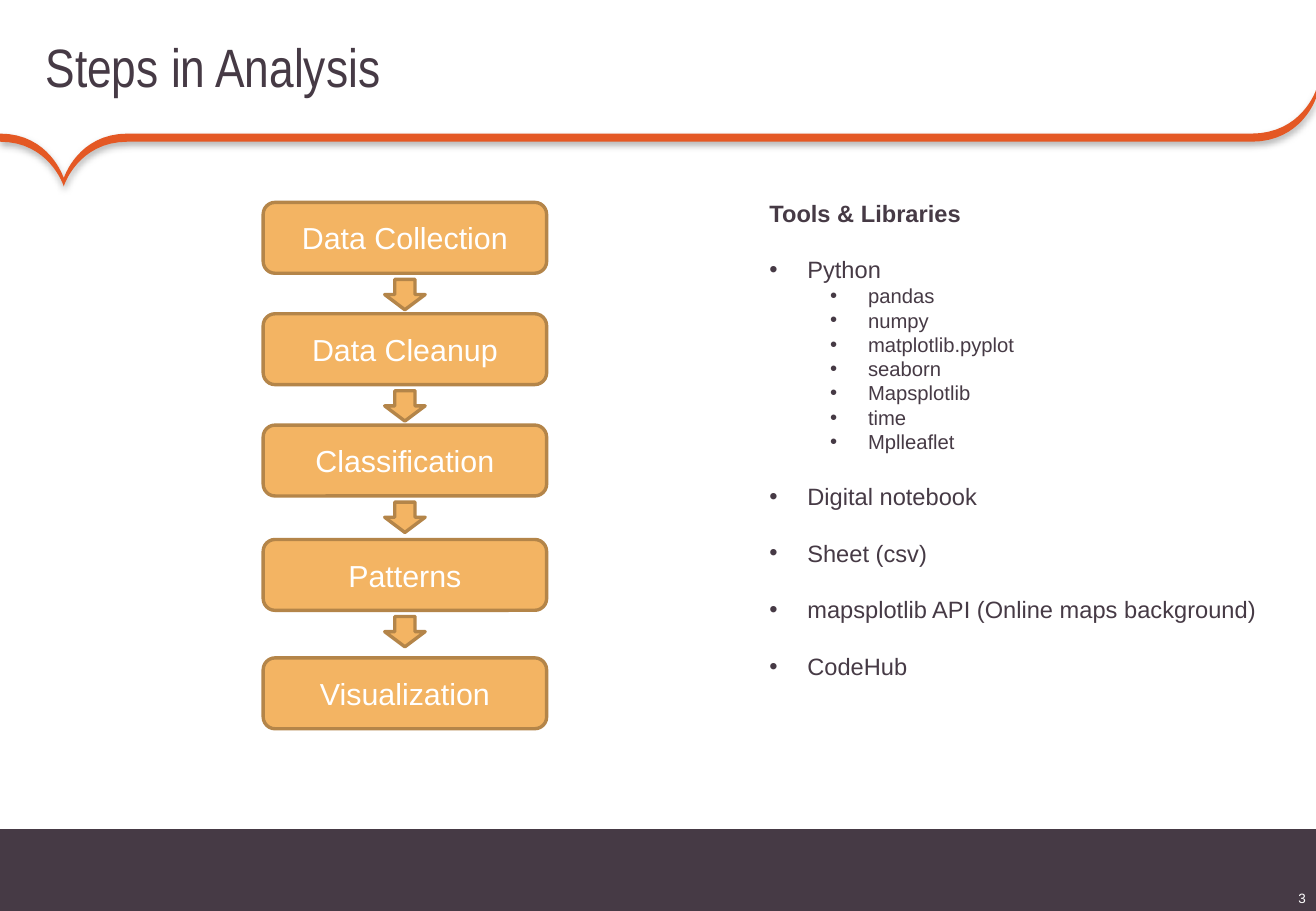
import collections
import dataclasses

import lxml.etree
import pptx
import pptx.dml.color
import pptx.enum.shapes
import pptx.enum.text
import pptx.oxml.ns
import pptx.util

EMU_PER_PX = 7620  # 120 px to the inch
Box = collections.namedtuple("Box", "left top width height")
SHAPE = pptx.enum.shapes.MSO_SHAPE
ALIGN = pptx.enum.text.PP_ALIGN
ANCHOR = pptx.enum.text.MSO_ANCHOR


@dataclasses.dataclass(frozen=True)
class Theme:
    dark: str = "463A45"
    white: str = "FFFFFF"
    accent: str = "E45824"
    step_fill: str = "F3B463"
    step_line: str = "B48549"
    body_font: str = "Arial"
    title_font: str = "Arial Narrow"
    title_size: int = 32
    step_size: int = 18
    item_size: int = 14
    sub_item_size: int = 12
    number_size: int = 8


THEME = Theme()

STEPS = [("Data Collection", 0), ("Data Cleanup", 110), ("Classification", 220),
         ("Patterns", 333), ("Visualization", 450)]

# Text, level, and whether a gap comes before it
TOOLS = [("Tools & Libraries", None, False), ("Python", 0, True)]
TOOLS += [(name, 1, False) for name in (
    "pandas", "numpy", "matplotlib.pyplot", "seaborn", "Mapsplotlib", "time", "Mplleaflet")]
TOOLS += [(name, 0, True) for name in (
    "Digital notebook", "Sheet (csv)", "mapsplotlib API (Online maps background)", "CodeHub")]


def px(length):
    return pptx.util.Emu(round(length * EMU_PER_PX))


def color(value):
    return pptx.dml.color.RGBColor.from_string(value)


def add_xml(parent, tag, **attributes):
    return lxml.etree.SubElement(parent, pptx.oxml.ns.qn(tag), attributes)


def place(shape, box):
    shape.left, shape.top, shape.width, shape.height = map(px, box)


def set_insets(text_frame, left, top, right, bottom):
    text_frame.margin_left, text_frame.margin_top = px(left), px(top)
    text_frame.margin_right, text_frame.margin_bottom = px(right), px(bottom)


def format_runs(paragraph, size, value, font=THEME.body_font, bold=False):
    for run in paragraph.runs:
        run.font.name, run.font.size, run.font.bold = font, pptx.util.Pt(size), bold
        run.font.color.rgb = color(value)


def add_filled(slide, kind, box, fill, line=None):
    shape = slide.shapes.add_shape(kind, *map(px, box))
    shape.shadow.inherit = False
    shape.fill.solid()
    shape.fill.fore_color.rgb = color(fill)
    if line:
        shape.line.color.rgb = color(line)
        shape.line.width = pptx.util.Pt(2)
    else:
        shape.line.fill.background()
    return shape


def curve(start, first, second, end, count=16):
    """Points along a cubic curve, without its start."""
    points = []
    for index in range(1, count + 1):
        t = index / count
        weights = ((1 - t) ** 3, 3 * t * (1 - t) ** 2, 3 * t * t * (1 - t), t ** 3)
        points.append(tuple(sum(weight * point[axis] for weight, point in
                                zip(weights, (start, first, second, end)))
                            for axis in (0, 1)))
    return points


def add_footer(slide, box):
    # Dark band with its top rule
    add_filled(slide, SHAPE.RECTANGLE, box, THEME.dark)
    rule = slide.shapes.add_connector(
        pptx.enum.shapes.MSO_CONNECTOR.STRAIGHT, px(box.left), px(box.top),
        px(box.left + box.width), px(box.top))
    rule.line.color.rgb = color(THEME.dark)
    rule.line.width = pptx.util.Pt(0.75)
    add_xml(rule._element.spPr, "a:effectLst")

    # Page number
    number = slide.shapes.add_textbox(
        *map(px, (box.left + box.width - 55, box.top + box.height - 25, 55, 25)))
    text_frame = number.text_frame
    text_frame.word_wrap = True
    text_frame.vertical_anchor = ANCHOR.BOTTOM
    set_insets(text_frame, 5, 5, 10, 5)
    text_frame.text = "3"
    text_frame.paragraphs[0].alignment = ALIGN.RIGHT
    format_runs(text_frame.paragraphs[0], THEME.number_size, THEME.white)


def add_ribbon(slide, box):
    # Upper edge from left to right; the lower edge is the same, moved down
    right, level, thickness = box.width, 43, 8
    notch = (63, 87)
    upper = [(0, level)]
    upper += curve((0, level), (49, level), notch, notch)
    upper += curve(notch, notch, (77, level), (126, level))
    upper += [(right - 64, level)]
    upper += curve((right - 64, level), (right - 14, level), (right, 0), (right, 0))
    lower = [(x, y + thickness) for x, y in reversed(upper)]
    outline = [(px(box.left + x), px(box.top + y)) for x, y in upper + lower]
    builder = slide.shapes.build_freeform(*outline[0])
    builder.add_line_segments(outline[1:], close=True)
    ribbon = builder.convert_to_shape()
    ribbon.fill.solid()
    ribbon.fill.fore_color.rgb = color(THEME.accent)
    ribbon.line.fill.background()

    # Soft shadow below
    effects = add_xml(ribbon._element.spPr, "a:effectLst")
    shadow = add_xml(effects, "a:outerShdw", blurRad="50800", dist="25400",
                     dir="5400000", algn="t", rotWithShape="0")
    add_xml(add_xml(shadow, "a:srgbClr", val="000000"), "a:alpha", val="31000")


def add_title(slide, box):
    title = slide.shapes.title
    place(title, box)
    text_frame = title.text_frame
    text_frame.text = "Steps in Analysis"
    text_frame.vertical_anchor = ANCHOR.MIDDLE
    set_insets(text_frame, 0, 0, 5, 5)
    paragraph = text_frame.paragraphs[0]
    paragraph.alignment = ALIGN.LEFT
    paragraph.line_spacing = 0.9
    format_runs(paragraph, THEME.title_size, THEME.dark, THEME.title_font)


def add_steps(slide, box):
    step_height, arrow_width, arrow_height, gap = 70, 40, 30, 6
    for index, (name, offset) in enumerate(STEPS):
        top = box.top + offset
        step = add_filled(slide, SHAPE.ROUNDED_RECTANGLE,
                          Box(box.left, top, box.width, step_height),
                          THEME.step_fill, THEME.step_line)
        step.text_frame.text = name
        step.text_frame.vertical_anchor = ANCHOR.MIDDLE
        step.text_frame.paragraphs[0].alignment = ALIGN.CENTER
        format_runs(step.text_frame.paragraphs[0], THEME.step_size, THEME.white)
        if index < len(STEPS) - 1:
            arrow_left = box.left + (box.width - arrow_width) // 2
            add_filled(slide, SHAPE.DOWN_ARROW,
                       Box(arrow_left, top + step_height + gap, arrow_width, arrow_height),
                       THEME.step_fill, THEME.step_line)


def add_tools(slide, box):
    body = slide.placeholders[1]
    place(body, box)
    text_frame = body.text_frame
    text_frame.word_wrap = True
    text_frame.vertical_anchor = ANCHOR.TOP
    set_insets(text_frame, 12, 6, 12, 6)
    text_frame.text = "\n".join(text for text, _, _ in TOOLS)
    for paragraph, (_, level, gap) in zip(text_frame.paragraphs, TOOLS):
        size = THEME.sub_item_size if level else THEME.item_size
        paragraph.level = level or 0
        paragraph.alignment = ALIGN.LEFT
        paragraph.line_spacing = pptx.util.Pt(1.2 * size)
        paragraph.space_before = pptx.util.Pt(1.2 * size if gap else 0)
        paragraph.space_after = pptx.util.Pt(0)
        properties = paragraph._p.get_or_add_pPr()
        if level is None:
            properties.set("marL", "0")
            properties.set("indent", "0")
            add_xml(properties, "a:buNone")
        else:
            properties.set("marL", str(px(97.5 if level else 37.5)))
            properties.set("indent", str(px(-37.5)))
            add_xml(properties, "a:buFont", typeface=THEME.body_font)
            add_xml(properties, "a:buChar", char="•")
        format_runs(paragraph, size, THEME.dark, bold=level is None)


def main():
    presentation = pptx.Presentation()
    presentation.slide_width, presentation.slide_height = px(1300), px(900)
    slide = presentation.slides.add_slide(presentation.slide_layouts[1])
    add_footer(slide, Box(0, 820, 1300, 80))
    add_ribbon(slide, Box(0, 89, 1300, 96))
    add_title(slide, Box(45, 0, 1255, 143))
    add_steps(slide, Box(260, 200, 280, 520))
    add_tools(slide, Box(748, 190, 530, 521))
    presentation.save("out.pptx")


if __name__ == "__main__":
    main()
